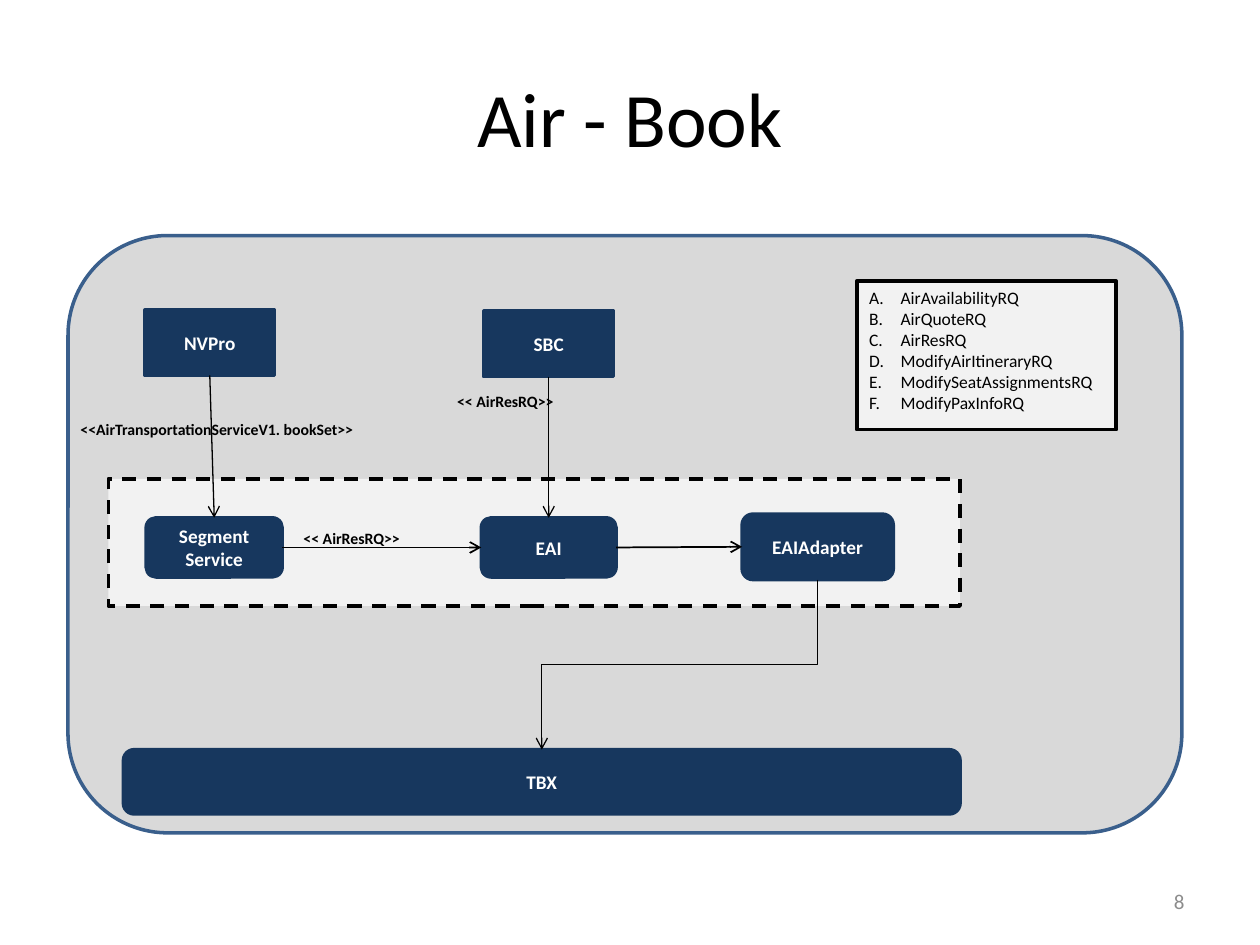
import pptx
import pptx.util
from lxml import etree
from pptx.dml.color import RGBColor
from pptx.enum.dml import MSO_LINE
from pptx.enum.shapes import MSO_CONNECTOR, MSO_SHAPE
from pptx.enum.text import MSO_ANCHOR, PP_ALIGN
from pptx.oxml.ns import qn
from pptx.util import Inches

COLORS = {
    "navy": "17375E", "panel": "D9D9D9", "panel_line": "3A5F8C",
    "light": "F2F2F2", "black": "000000", "white": "FFFFFF", "gray": "8C8C8C",
}
FONT = "Calibri"
TOP, LEFT, BOTTOM, RIGHT = range(4)
REQUESTS = ["AirAvailabilityRQ", "AirQuoteRQ", "AirResRQ", "ModifyAirItineraryRQ",
            "ModifySeatAssignmentsRQ", "ModifyPaxInfoRQ"]


def color(name):
    return RGBColor.from_string(COLORS[name])


def add_run(paragraph, text, size, color_name, bold=False):
    run = paragraph.add_run()
    run.text = text
    run.font.name = FONT
    run.font.size = pptx.util.Pt(size)
    run.font.bold = bold
    run.font.color.rgb = color(color_name)


def add_box(slide, kind, box, fill, line):
    shape = slide.shapes.add_shape(kind, *(Inches(value) for value in box))
    shape.shadow.inherit = False
    shape.fill.solid()
    shape.fill.fore_color.rgb = color(fill)
    shape.line.color.rgb = color(line)
    shape.line.width = pptx.util.Pt(2)
    return shape


def add_node(slide, kind, box, text):
    shape = add_box(slide, kind, box, "navy", "navy")
    shape.text_frame.word_wrap = True
    shape.text_frame.vertical_anchor = MSO_ANCHOR.MIDDLE
    paragraph = shape.text_frame.paragraphs[0]
    paragraph.alignment = PP_ALIGN.CENTER
    add_run(paragraph, text, 11, "white", bold=True)
    return shape


def add_text(slide, box, text, size, color_name, bold=False):
    shape = slide.shapes.add_textbox(*(Inches(value) for value in box))
    shape.text_frame.word_wrap = True
    add_run(shape.text_frame.paragraphs[0], text, size, color_name, bold)
    return shape


def add_arrow(slide, start, start_side, end, end_side, width,
              kind=MSO_CONNECTOR.STRAIGHT):
    connector = slide.shapes.add_connector(kind, 0, 0, 0, 0)
    connector.begin_connect(start, start_side)
    connector.end_connect(end, end_side)
    connector.line.color.rgb = color("black")
    connector.line.width = pptx.util.Pt(width)
    etree.SubElement(connector.line._get_or_add_ln(), qn("a:tailEnd"), type="arrow")
    etree.SubElement(connector._element.spPr, qn("a:effectLst"))
    return connector


def turn_elbow_down(connector):
    """Make an elbow leave and arrive vertically, going down and to the left."""
    center_x = connector.left + connector.width // 2
    center_y = connector.top + connector.height // 2
    across, down = connector.width, connector.height
    connector.left, connector.top = center_x - down // 2, center_y - across // 2
    connector.width, connector.height = down, across
    transform = connector._element.spPr.find(qn("a:xfrm"))
    for flip in ("flipH", "flipV"):
        transform.attrib.pop(flip, None)
    transform.set("rot", str(90 * 60000))


def place_title(slide, box):
    title = slide.shapes.title
    title.left, title.top, title.width, title.height = (Inches(value) for value in box)
    title.text_frame.vertical_anchor = MSO_ANCHOR.MIDDLE
    paragraph = title.text_frame.paragraphs[0]
    paragraph.alignment = PP_ALIGN.CENTER
    add_run(paragraph, "Air - Book", 44, "black")


def place_page_number(slide, box):
    shape = add_text(slide, box, "8", 12, "gray")
    shape.text_frame.vertical_anchor = MSO_ANCHOR.MIDDLE
    shape.text_frame.paragraphs[0].alignment = PP_ALIGN.RIGHT


def place_legend(slide, box):
    legend = add_box(slide, MSO_SHAPE.RECTANGLE, box, "light", "black")
    frame = legend.text_frame
    frame.word_wrap = True
    frame.vertical_anchor = MSO_ANCHOR.TOP
    for index, request in enumerate(REQUESTS):
        paragraph = frame.add_paragraph() if index else frame.paragraphs[0]
        paragraph.alignment = PP_ALIGN.LEFT
        properties = paragraph._p.get_or_add_pPr()
        properties.set("marL", str(Inches(0.25)))
        properties.set("indent", str(-Inches(0.25)))
        etree.SubElement(properties, qn("a:buFont"), typeface="+mj-lt")
        etree.SubElement(properties, qn("a:buAutoNum"), type="alphaUcPeriod")
        add_run(paragraph, request, 10, "black")


def place_diagram(slide, box):
    left, top, _, _ = box

    def inside(x, y, width, height):
        return left + x, top + y, width, height

    square, rounded = MSO_SHAPE.RECTANGLE, MSO_SHAPE.ROUNDED_RECTANGLE

    # Background panel and dashed service layer
    add_box(slide, rounded, box, "panel", "panel_line")
    layer = add_box(slide, square, inside(0.32, 1.93, 6.76, 1.01), "light", "black")
    layer.line.dash_style = MSO_LINE.DASH

    # Clients, services and back end
    client = add_node(slide, square, inside(0.61, 0.59, 1.03, 0.52), "NVPro")
    sbc = add_node(slide, square, inside(3.3, 0.6, 1.03, 0.52), "SBC")
    segment = add_node(slide, rounded, inside(0.62, 2.24, 1.08, 0.47), "Segment Service")
    eai = add_node(slide, rounded, inside(3.28, 2.24, 1.07, 0.47), "EAI")
    adapter = add_node(slide, rounded, inside(5.35, 2.21, 1.2, 0.52), "EAIAdapter")
    tbx = add_node(slide, rounded, inside(0.44, 4.08, 6.64, 0.51), "TBX")

    # Message flow
    add_arrow(slide, client, BOTTOM, segment, TOP, 0.75)
    add_arrow(slide, sbc, BOTTOM, eai, TOP, 0.75)
    add_arrow(slide, segment, RIGHT, eai, LEFT, 1)
    add_arrow(slide, eai, RIGHT, adapter, LEFT, 1)
    turn_elbow_down(add_arrow(slide, adapter, BOTTOM, tbx, TOP, 0.75,
                              MSO_CONNECTOR.ELBOW))

    # Message labels
    for x, y, width, text in (
        (0, 1.41, 2.49, "<<AirTransportationServiceV1. bookSet>>"),
        (2.99, 1.19, 1.06, "<< AirResRQ>>"),
        (1.77, 2.28, 1.61, "<< AirResRQ>>"),
    ):
        add_text(slide, inside(x, y, width, 0.25), text, 9, "black", bold=True)

    place_legend(slide, inside(6.26, 0.36, 2.06, 1.18))


def main():
    presentation = pptx.Presentation()
    presentation.slide_width, presentation.slide_height = Inches(10), Inches(7.5)
    slide = presentation.slides.add_slide(presentation.slide_layouts[5])
    place_title(slide, (0.5, 0.3, 9, 1.25))
    place_diagram(slide, (0.54, 1.87, 8.84, 4.74))
    place_page_number(slide, (7.17, 6.95, 2.33, 0.4))
    presentation.save("out.pptx")


if __name__ == "__main__":
    main()
